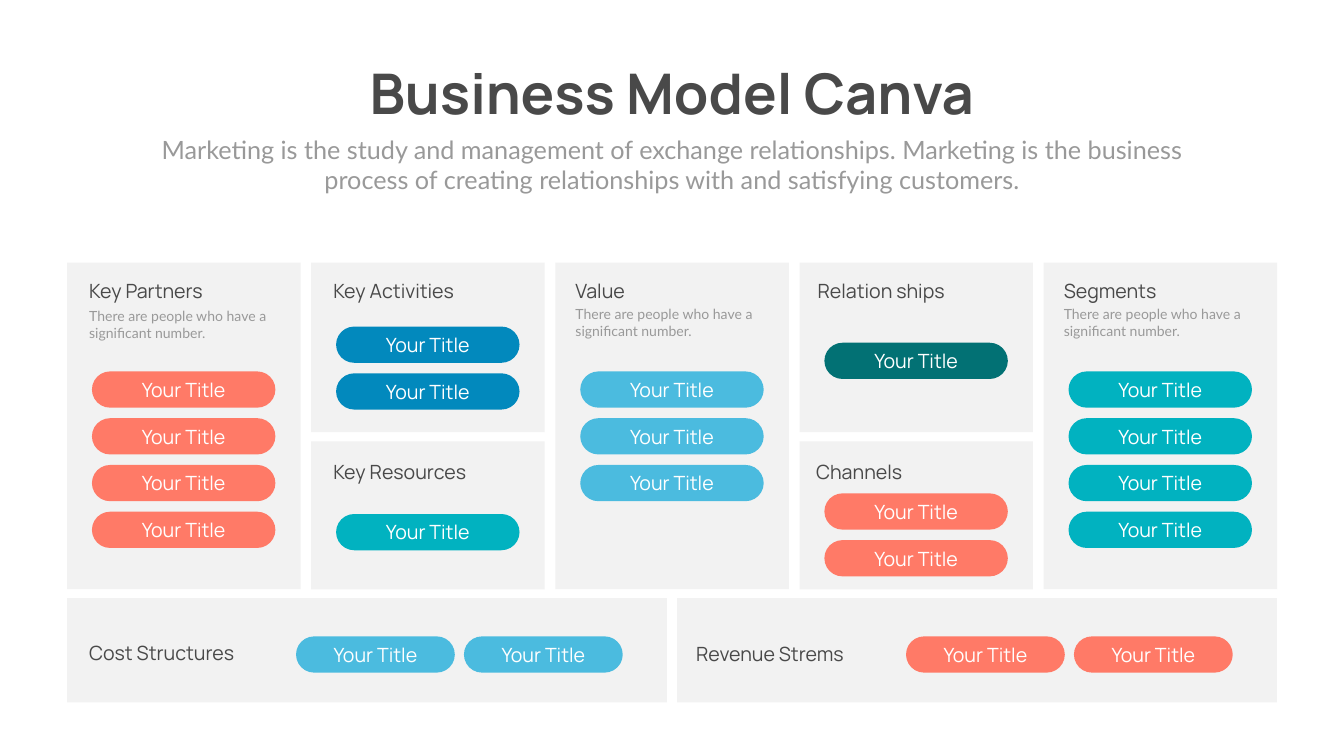
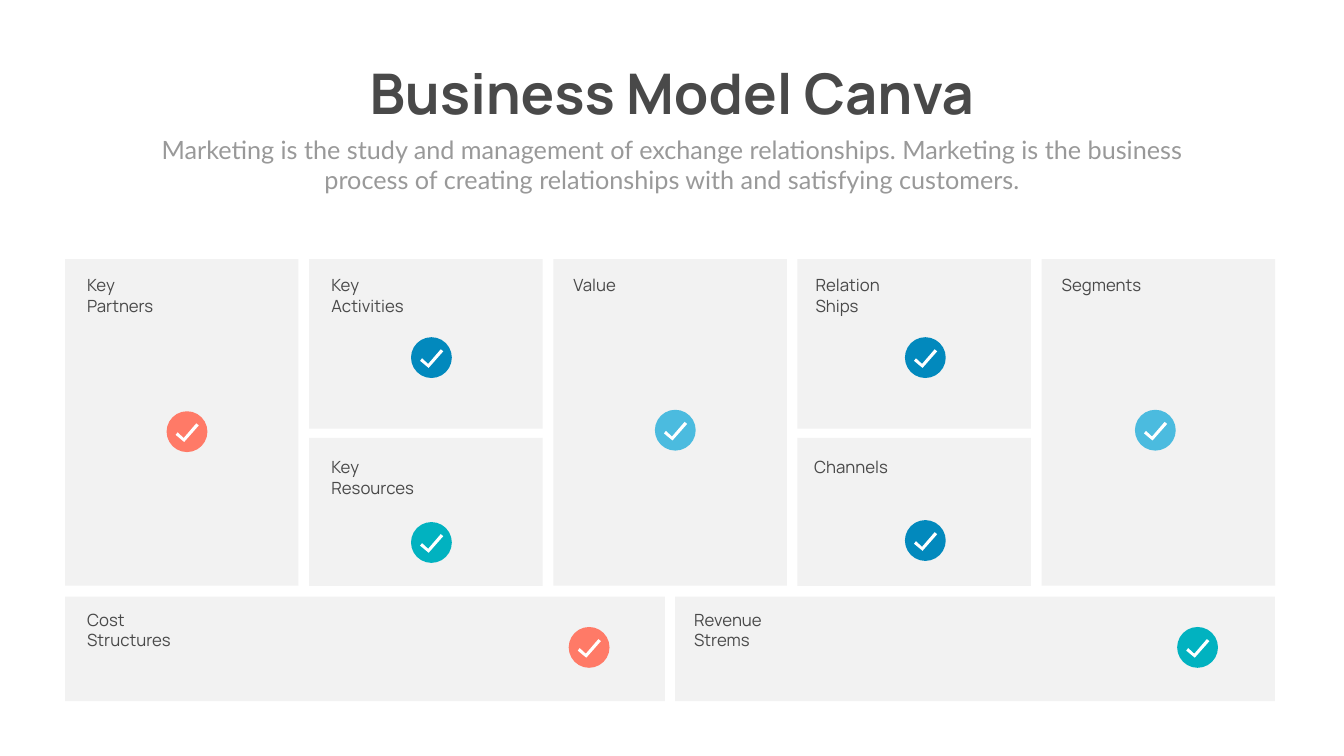
from collections import namedtuple

from pptx import Presentation
from pptx.dml.color import RGBColor
from pptx.enum.shapes import MSO_SHAPE
from pptx.enum.text import MSO_ANCHOR, PP_ALIGN
from pptx.util import Pt

WHITE, PANEL_GRAY, INK, MUTED = "FFFFFF", "F2F2F2", "494949", "999999"
CORAL, BLUE, SKY, TEAL, PINE = "FF7A67", "0289BD", "4BBBDF", "01B2C0", "027174"
HEADING_FONT, BODY_FONT = "Manrope", "Lato"

TITLE = "Business Model Canva"
SUBTITLE = (
    "Marketing is the study and management of exchange relationships. "
    "Marketing is the business process of creating relationships with "
    "and satisfying customers."
)
CAPTION = "There are people who have a significant number."
PILL_LABEL = "Your Title"

COLUMN_WIDTH, COLUMN_PITCH = 333.4, 348.7
LOWER_OFFSET = 255.5
FOOTER_WIDTH, FOOTER_PITCH, FOOTER_HEIGHT = 856.8, 871.2, 149
FULL_HEIGHT, UPPER_HEIGHT, LOWER_HEIGHT = 466.6, 242.4, 211.3
PILL_HEIGHT, PILL_PITCH = 51.8, 66.8
BADGE_SIZE = 58.3
TICK = [(42.5, 17.3), (46.1, 20.2), (25.2, 43.9), (13, 33.8), (15.8, 30.2), (24.5, 38.2)]

Panel = namedtuple("Panel", "left top width height indent")
PillBlock = namedtuple("PillBlock", "heading width drop color count pill_top caption_top")
BadgeBlock = namedtuple("BadgeBlock", "heading width drop color badge_left badge_top")

PILL_BLOCKS = [
    PillBlock("Key Partners", 217.4, 19.4, CORAL, 4, 155.5, 60.5),
    PillBlock("Key Activities", 248.4, 19.4, BLUE, 2, 91.4, None),
    PillBlock("Key Resources", 250.6, 23, TEAL, 1, 103.7, None),
    PillBlock("Value", 172, 19.4, SKY, 3, 155.5, 58.3),
    PillBlock("Relation ships", 248.4, 19.4, PINE, 1, 114.5, None),
    PillBlock("Channels", 173.5, 23, CORAL, 2, 74.2, None),
    PillBlock("Segments", 172, 19.4, TEAL, 4, 155.5, 58.3),
    PillBlock("Cost Structures", 273.6, 57, SKY, 2, 54.5, None),
    PillBlock("Revenue Strems", 273.6, 58.3, CORAL, 2, 54.5, None),
]

BADGE_BLOCKS = [
    BadgeBlock("Key Partners", 131.8, 19.4, CORAL, 145, 217.4),
    BadgeBlock("Key Activities", 131, 19.4, BLUE, 145.4, 111.6),
    BadgeBlock("Key Resources", 157, 23.8, TEAL, 145.4, 120.2),
    BadgeBlock("Value", 172, 19.4, SKY, 145, 215.3),
    BadgeBlock("Relation Ships", 131, 19.4, BLUE, 153.4, 111.6),
    BadgeBlock("Channels", 173.5, 23.8, BLUE, 153.4, 117.4),
    BadgeBlock("Segments", 172, 19.4, SKY, 133.2, 215.3),
    BadgeBlock("Cost Structures", 144, 14.4, CORAL, 719.3, 43.2),
    BadgeBlock("Revenue Strems", 144, 14.4, TEAL, 717.1, 43.2),
]


def rgb(value):
    """Turn a hex string into a colour."""
    return RGBColor.from_string(value)


def paint(shape, color):
    """Give a shape a flat fill without line or shadow."""
    shape.shadow.inherit = False
    shape.fill.solid()
    shape.fill.fore_color.rgb = rgb(color)
    shape.line.fill.background()


def write(frame, text, size, color, font=HEADING_FONT, align=PP_ALIGN.LEFT, bold=False):
    """Put one formatted paragraph into a text frame."""
    frame.word_wrap = True
    frame.text = text
    paragraph = frame.paragraphs[0]
    paragraph.alignment = align
    for run in paragraph.runs:
        run.font.name, run.font.size, run.font.bold = font, Pt(size), bold
        run.font.color.rgb = rgb(color)


def add_text(slide, left, top, width, height, text, size, color, **style):
    """Add a text box."""
    box = slide.shapes.add_textbox(Pt(left), Pt(top), Pt(width), Pt(height))
    write(box.text_frame, text, size, color, **style)


def add_rounded(slide, left, top, width, height, color, radius):
    """Add a flat rounded rectangle."""
    rounded = slide.shapes.add_shape(
        MSO_SHAPE.ROUNDED_RECTANGLE, Pt(left), Pt(top), Pt(width), Pt(height)
    )
    rounded.adjustments[0] = radius
    paint(rounded, color)
    return rounded


def add_pill(slide, left, top, width, color):
    """Add a labelled pill."""
    pill = add_rounded(slide, left, top, width, PILL_HEIGHT, color, 0.5)
    pill.text_frame.vertical_anchor = MSO_ANCHOR.MIDDLE
    write(pill.text_frame, PILL_LABEL, 28, WHITE, align=PP_ALIGN.CENTER)


def add_badge(slide, left, top, color):
    """Add a round badge with a white tick as one group."""
    badge = slide.shapes.add_group_shape().shapes
    disc = badge.add_shape(
        MSO_SHAPE.OVAL, Pt(left), Pt(top), Pt(BADGE_SIZE), Pt(BADGE_SIZE)
    )
    paint(disc, color)
    corners = [(Pt(left + x), Pt(top + y)) for x, y in TICK]
    outline = badge.build_freeform(*corners[0])
    outline.add_line_segments(corners[1:], close=True)
    paint(outline.convert_to_shape(), WHITE)


def add_header(slide):
    """Add the title and the subtitle."""
    add_text(slide, 484.6, 80.6, 950.4, 104.4, TITLE, 80, INK,
             align=PP_ALIGN.CENTER, bold=True)
    add_text(slide, 210.2, 187.9, 1499, 94.3, SUBTITLE, 36, MUTED,
             font=BODY_FONT, align=PP_ALIGN.CENTER)


def canvas_panels(left, top, footer_top):
    """Lay out the nine panels of the canvas."""
    columns = [left + COLUMN_PITCH * column for column in range(5)]
    lower_top = top + LOWER_OFFSET
    return [
        Panel(columns[0], top, COLUMN_WIDTH, FULL_HEIGHT, 24.5),
        Panel(columns[1], top, COLUMN_WIDTH, UPPER_HEIGHT, 24.5),
        Panel(columns[1], lower_top, COLUMN_WIDTH, LOWER_HEIGHT, 24.5),
        Panel(columns[2], top, COLUMN_WIDTH, FULL_HEIGHT, 21.6),
        Panel(columns[3], top, COLUMN_WIDTH, UPPER_HEIGHT, 18.7),
        Panel(columns[3], lower_top, COLUMN_WIDTH, LOWER_HEIGHT, 16.6),
        Panel(columns[4], top, COLUMN_WIDTH, FULL_HEIGHT, 21.6),
        Panel(left, footer_top, FOOTER_WIDTH, FOOTER_HEIGHT, 24.5),
        Panel(left + FOOTER_PITCH, footer_top, FOOTER_WIDTH, FOOTER_HEIGHT, 20.2),
    ]


def add_panel(slide, panel, block, size, height):
    """Add a panel with its heading."""
    add_rounded(slide, *panel[:4], PANEL_GRAY, 0)
    add_text(slide, panel.left + panel.indent, panel.top + block.drop,
             block.width, height, block.heading, size, INK)


def add_pills(slide, panel, block):
    """Stack pills in a column panel or line them up in a footer panel."""
    in_footer = panel.width == FOOTER_WIDTH
    for index in range(block.count):
        if in_footer:
            add_pill(slide, panel.left + 327 + 239.8 * index,
                     panel.top + block.pill_top, 226.8, block.color)
        else:
            add_pill(slide, panel.left + 35.5,
                     panel.top + block.pill_top + PILL_PITCH * index, 262, block.color)


def add_pill_slide(slide):
    """Build the canvas with pills."""
    add_header(slide)
    for panel, block in zip(canvas_panels(95.8, 375.1, 854.6), PILL_BLOCKS):
        add_panel(slide, panel, block, 28, 40.3)
        if block.caption_top:
            add_text(slide, panel.left + panel.indent, panel.top + block.caption_top,
                     276.5, 51.8, CAPTION, 20, MUTED, font=BODY_FONT)
        add_pills(slide, panel, block)


def add_badge_slide(slide):
    """Build the canvas with tick badges."""
    add_header(slide)
    for panel, block in zip(canvas_panels(92.9, 370.1, 852.5), BADGE_BLOCKS):
        add_panel(slide, panel, block, 24, 36 + 29.5 * block.heading.count(" "))
        add_badge(slide, panel.left + block.badge_left,
                  panel.top + block.badge_top, block.color)


def main():
    """Build and save the presentation."""
    deck = Presentation()
    deck.slide_width, deck.slide_height = Pt(1919.52), Pt(1080)
    blank = deck.slide_layouts[6]
    add_pill_slide(deck.slides.add_slide(blank))
    add_badge_slide(deck.slides.add_slide(blank))
    deck.save("out.pptx")


if __name__ == "__main__":
    main()
